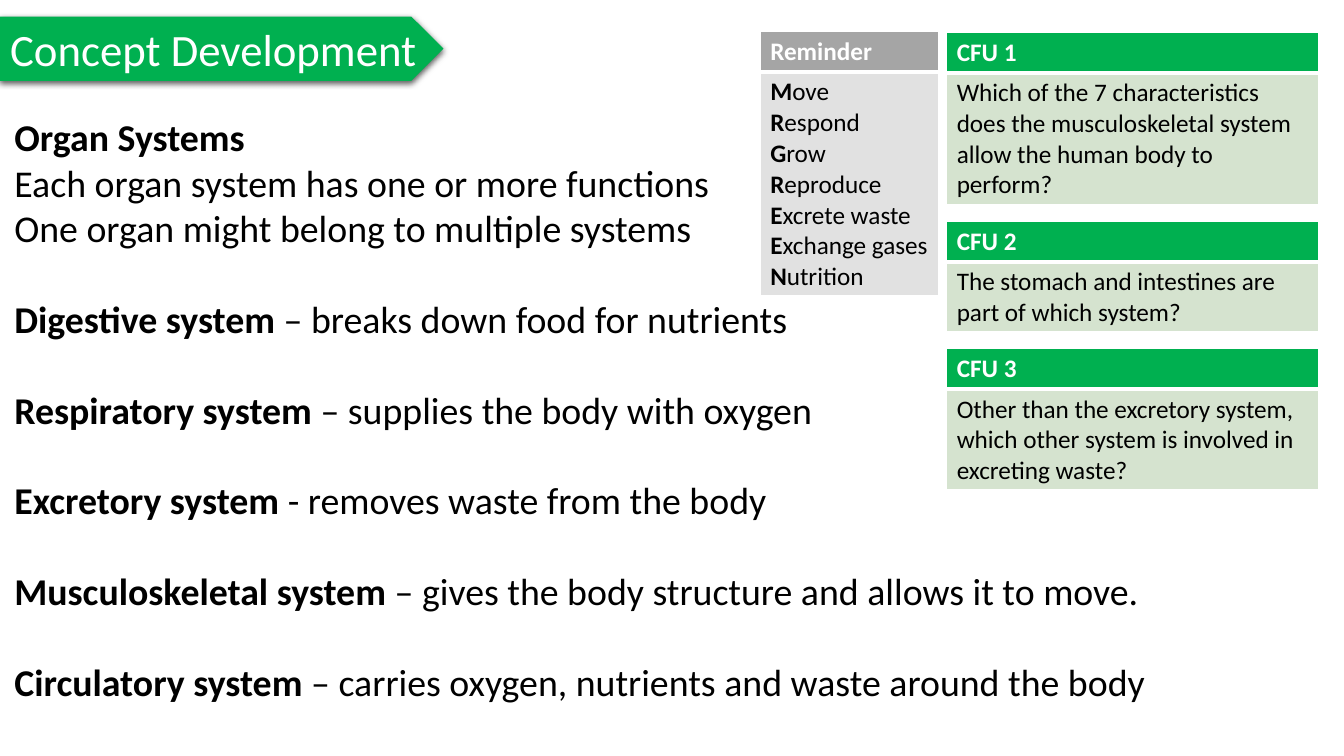
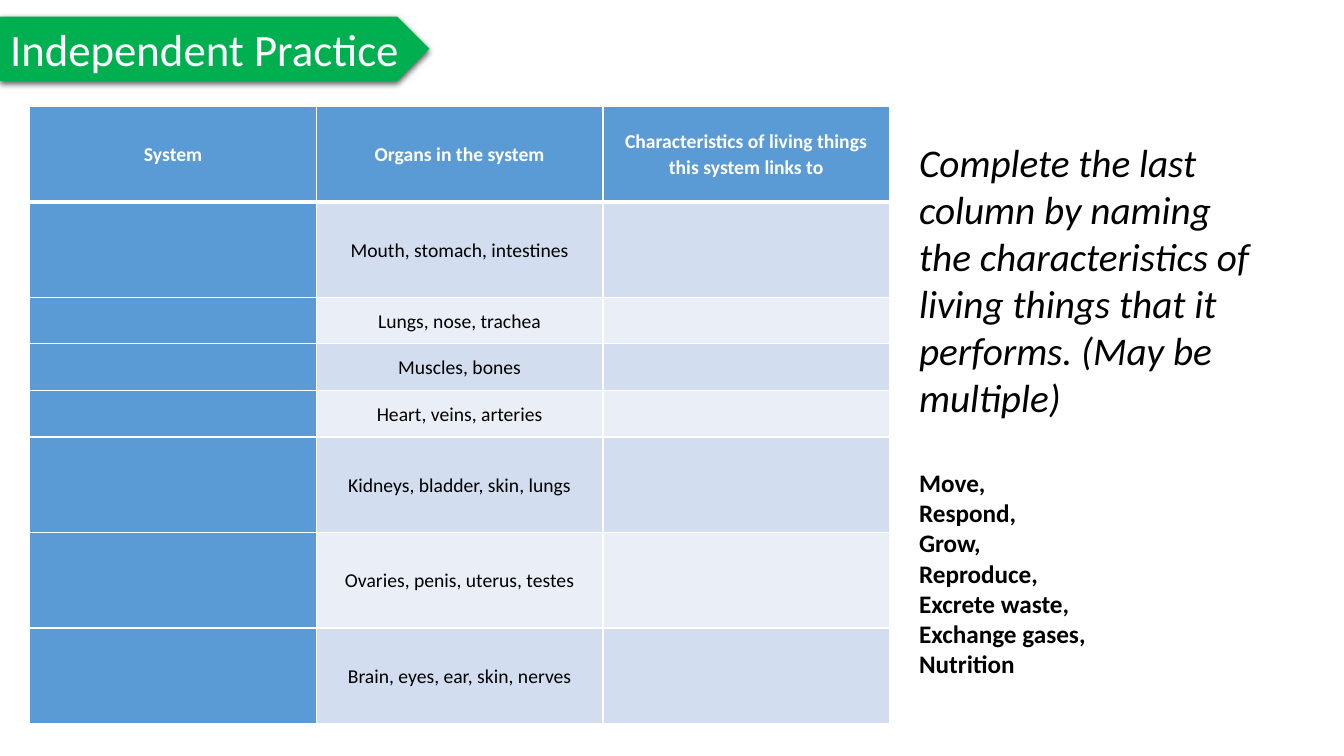
from lxml.etree import SubElement
from pptx import Presentation
from pptx.dml.color import RGBColor
from pptx.enum.shapes import MSO_SHAPE
from pptx.enum.text import MSO_ANCHOR, MSO_AUTO_SIZE, PP_ALIGN
from pptx.oxml.ns import qn
from pptx.util import Pt

# Content
CHARACTERISTICS = ["Move", "Respond", "Grow", "Reproduce", "Excrete waste",
                   "Exchange gases", "Nutrition"]
INTRO = ["Each organ system has one or more functions",
         "One organ might belong to multiple systems"]
SYSTEMS = [
    ("Digestive system ", "– breaks down food for nutrients"),
    ("Respiratory system ", "– supplies the body with oxygen"),
    ("Excretory system ", "- removes waste from the body"),
    ("Musculoskeletal system ", "– gives the body structure and allows it to move."),
    ("Circulatory system ", "– carries oxygen, nutrients and waste around the body"),
]
# Heading, question, number of lines it takes
QUESTIONS = [
    ("CFU 1", "Which of the 7 characteristics does the musculoskeletal system "
              "allow the human body to perform?", 4),
    ("CFU 2", "The stomach and intestines are part of which system?", 2),
    ("CFU 3", "Other than the excretory system, which other system is involved "
              "in excreting waste?", 3),
]
PRACTICE_HEADINGS = ["System", "Organs in the system",
                     "Characteristics of living things this system links to"]
TALL, SHORT = 68.2, 33.3
ORGANS = [
    ("Mouth, stomach, intestines", TALL),
    ("Lungs, nose, trachea", SHORT),
    ("Muscles, bones", SHORT),
    ("Heart, veins, arteries", SHORT),
    ("Kidneys, bladder, skin, lungs", TALL),
    ("Ovaries, penis, uterus, testes", TALL),
    ("Brain, eyes, ear, skin, nerves", TALL),
]
TASK = ("Complete the last column by naming the characteristics of living things "
        "that it performs. (May be multiple)")

# Shared style
FONT = "Calibri"
COLORS = {"white": "FFFFFF", "black": "000000", "green": "00B050",
          "pale green": "D5E3CF", "grey": "A5A5A5", "pale grey": "E1E1E1",
          "blue": "5B9BD5", "band dark": "D2DEEF", "band light": "EAEFF7"}
CARD_HEADER, CARD_LINE, CARD_PADDING, CARD_GAP = 29, 22, 6, 12


def rgb(name):
    return RGBColor.from_string(COLORS[name])


def write(paragraph, text, size, color="black", bold=False, italic=False):
    run = paragraph.add_run()
    run.text = text
    font = run.font
    font.name, font.size, font.bold, font.italic = FONT, Pt(size), bold, italic
    font.color.rgb = rgb(color)


def next_paragraph(frame):
    first = frame.paragraphs[0]
    return frame.add_paragraph() if first.runs else first


def add_titled_slide(deck, title, width):
    """Slide with a green pentagon band behind its title."""
    slide = deck.slides.add_slide(deck.slide_layouts[5])
    place = (0, Pt(11.8), Pt(width), Pt(46))
    band = slide.shapes.add_shape(MSO_SHAPE.PENTAGON, *place)
    band.fill.solid()
    band.fill.fore_color.rgb = rgb("green")
    band.line.fill.background()
    band.shadow.inherit = False
    effects = band.element.spPr.find(qn("a:effectLst"))
    shadow = SubElement(effects, qn("a:outerShdw"), blurRad=str(Pt(4.5)),
                        dist=str(Pt(1.5)), dir="5400000", rotWithShape="0")
    black = SubElement(shadow, qn("a:srgbClr"), val=COLORS["black"])
    SubElement(black, qn("a:alpha"), val="63000")

    heading = slide.shapes.title
    heading.left, heading.top, heading.width, heading.height = place
    heading.element.addprevious(band.element)
    frame = heading.text_frame
    frame.word_wrap = True
    frame.auto_size = MSO_AUTO_SIZE.NONE
    frame.vertical_anchor = MSO_ANCHOR.MIDDLE
    frame.paragraphs[0].alignment = PP_ALIGN.LEFT
    write(frame.paragraphs[0], title, 32, "white")
    return slide


def add_text_frame(slide, left, top, width, height):
    box = slide.shapes.add_textbox(Pt(left), Pt(top), Pt(width), Pt(height))
    box.text_frame.word_wrap = True
    return box.text_frame


def add_grid(slide, left, top, widths, heights):
    grid = slide.shapes.add_table(len(heights), len(widths), Pt(left), Pt(top),
                                  Pt(sum(widths)), Pt(sum(heights))).table
    for column, width in zip(grid.columns, widths):
        column.width = Pt(width)
    for row, height in zip(grid.rows, heights):
        row.height = Pt(height)
    return grid


def style_cell(cell, fill, bottom=1):
    """White borders and a solid fill."""
    properties = cell._tc.get_or_add_tcPr()
    for side, weight in (("L", 1), ("R", 1), ("T", 1), ("B", bottom)):
        border = SubElement(properties, qn("a:ln" + side), w=str(Pt(weight)))
        paint = SubElement(border, qn("a:solidFill"))
        SubElement(paint, qn("a:srgbClr"), val=COLORS["white"])
    cell.fill.solid()
    cell.fill.fore_color.rgb = rgb(fill)


def add_card(slide, left, top, width, heading, lines, header_fill, body_fill):
    """Heading cell over a body cell; returns the body's frame and the bottom."""
    heights = [CARD_HEADER, lines * CARD_LINE + CARD_PADDING]
    grid = add_grid(slide, left, top, [width], heights)
    header, body = grid.cell(0, 0), grid.cell(1, 0)
    style_cell(header, header_fill, bottom=3)
    header.margin_top, header.margin_bottom = Pt(3.5), Pt(3)
    write(header.text_frame.paragraphs[0], heading, 18, "white", bold=True)
    style_cell(body, body_fill)
    body.margin_top, body.margin_bottom = Pt(3.5), Pt(2.5)
    return body.text_frame, top + sum(heights)


def build_concept(deck):
    slide = add_titled_slide(deck, "Concept Development", 316.8)

    # Question cards
    top = 23
    for heading, question, lines in QUESTIONS:
        frame, bottom = add_card(slide, 676.2, top, 265.7, heading, lines,
                                 "green", "pale green")
        write(frame.paragraphs[0], question, 18)
        top = bottom + CARD_GAP

    # Organ systems
    frame = add_text_frame(slide, 3.2, 77.8, 883.4, 432.7)
    write(frame.paragraphs[0], "Organ Systems", 27, bold=True)
    for sentence in INTRO:
        write(frame.add_paragraph(), sentence, 27)
    for system, role in SYSTEMS:
        paragraph = frame.add_paragraph()
        paragraph.space_before = Pt(32.4)
        write(paragraph, system, 27, bold=True)
        write(paragraph, role, 27)

    # Reminder card, with slack on the right for its longest entry
    frame, _ = add_card(slide, 543, 22.5, 127.5, "Reminder",
                        len(CHARACTERISTICS), "grey", "pale grey")
    for cell_side in ("margin_right",):
        setattr(frame, cell_side, Pt(2))
    for characteristic in CHARACTERISTICS:
        paragraph = next_paragraph(frame)
        write(paragraph, characteristic[0], 18, bold=True)
        write(paragraph, characteristic[1:], 18)


def build_practice(deck):
    slide = add_titled_slide(deck, "Independent Practice", 306.7)

    # Task and word list
    frame = add_text_frame(slide, 649.4, 95, 252.7, 431.3)
    write(frame.paragraphs[0], TASK, 28, italic=True)
    last = len(CHARACTERISTICS) - 1
    for index, characteristic in enumerate(CHARACTERISTICS):
        paragraph = frame.add_paragraph()
        if index == 0:
            paragraph.space_before = Pt(33.5)
        ending = "," if index < last else ""
        write(paragraph, characteristic + ending, 18, bold=True)

    # Practice table
    rows = [PRACTICE_HEADINGS] + [["", organs, ""] for organs, _ in ORGANS]
    heights = [TALL] + [height for _, height in ORGANS]
    grid = add_grid(slide, 21.3, 76, [204.7] * 3, heights)
    for r, row in enumerate(rows):
        band = "band dark" if r % 2 else "band light"
        for c, text in enumerate(row):
            cell = grid.cell(r, c)
            is_header = r == 0
            style_cell(cell, "blue" if is_header or c == 0 else band,
                       bottom=3 if is_header else 1)
            if not text:
                continue
            cell.vertical_anchor = MSO_ANCHOR.MIDDLE
            cell.margin_left = cell.margin_right = Pt(5)
            cell.margin_top = cell.margin_bottom = 0
            paragraph = cell.text_frame.paragraphs[0]
            paragraph.alignment = PP_ALIGN.CENTER
            paragraph.line_spacing = 1.07
            write(paragraph, text, 14, "white" if is_header else "black",
                  bold=is_header)


def main():
    deck = Presentation()
    deck.slide_width, deck.slide_height = Pt(960), Pt(540)
    build_concept(deck)
    build_practice(deck)
    deck.save("out.pptx")


if __name__ == "__main__":
    main()
